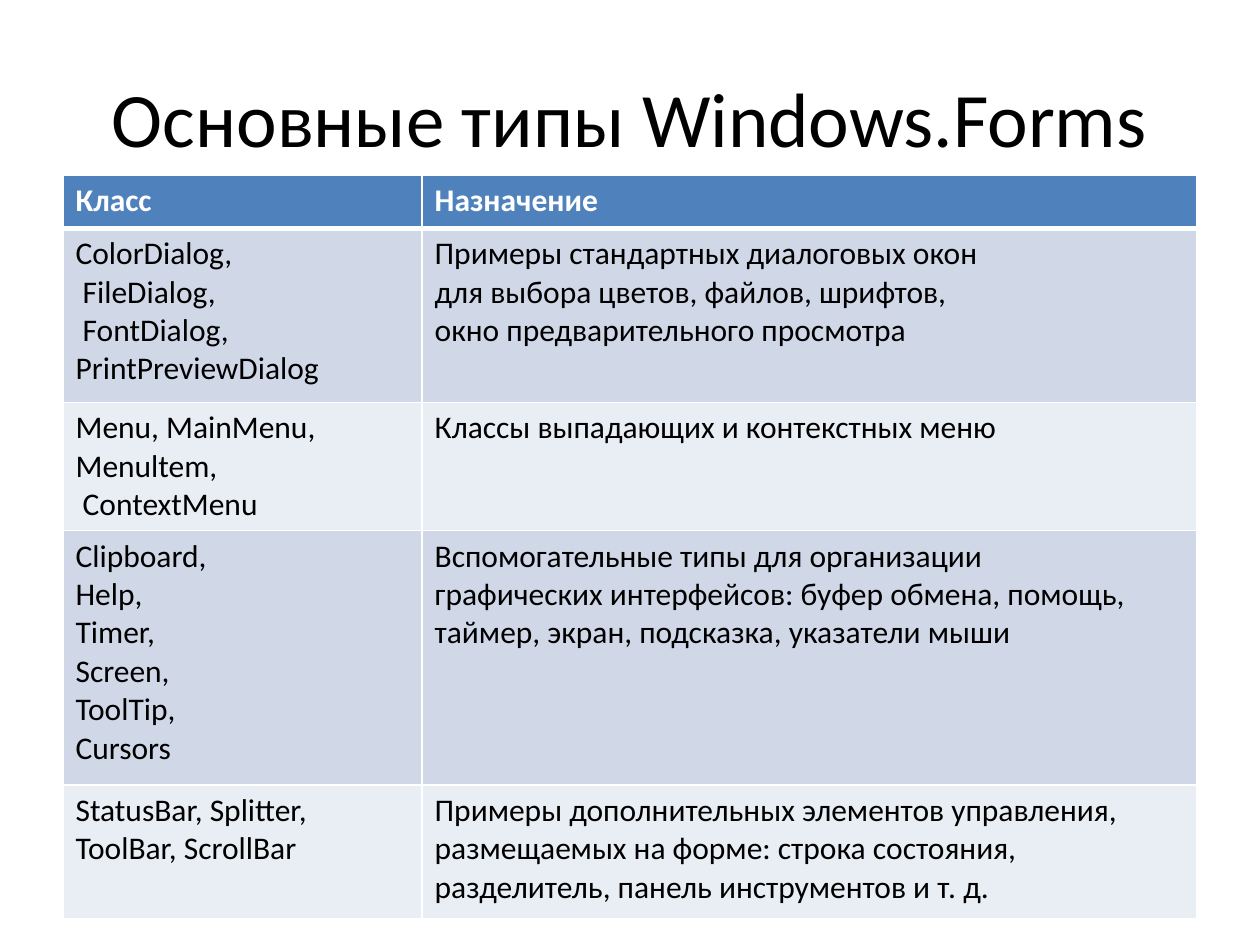
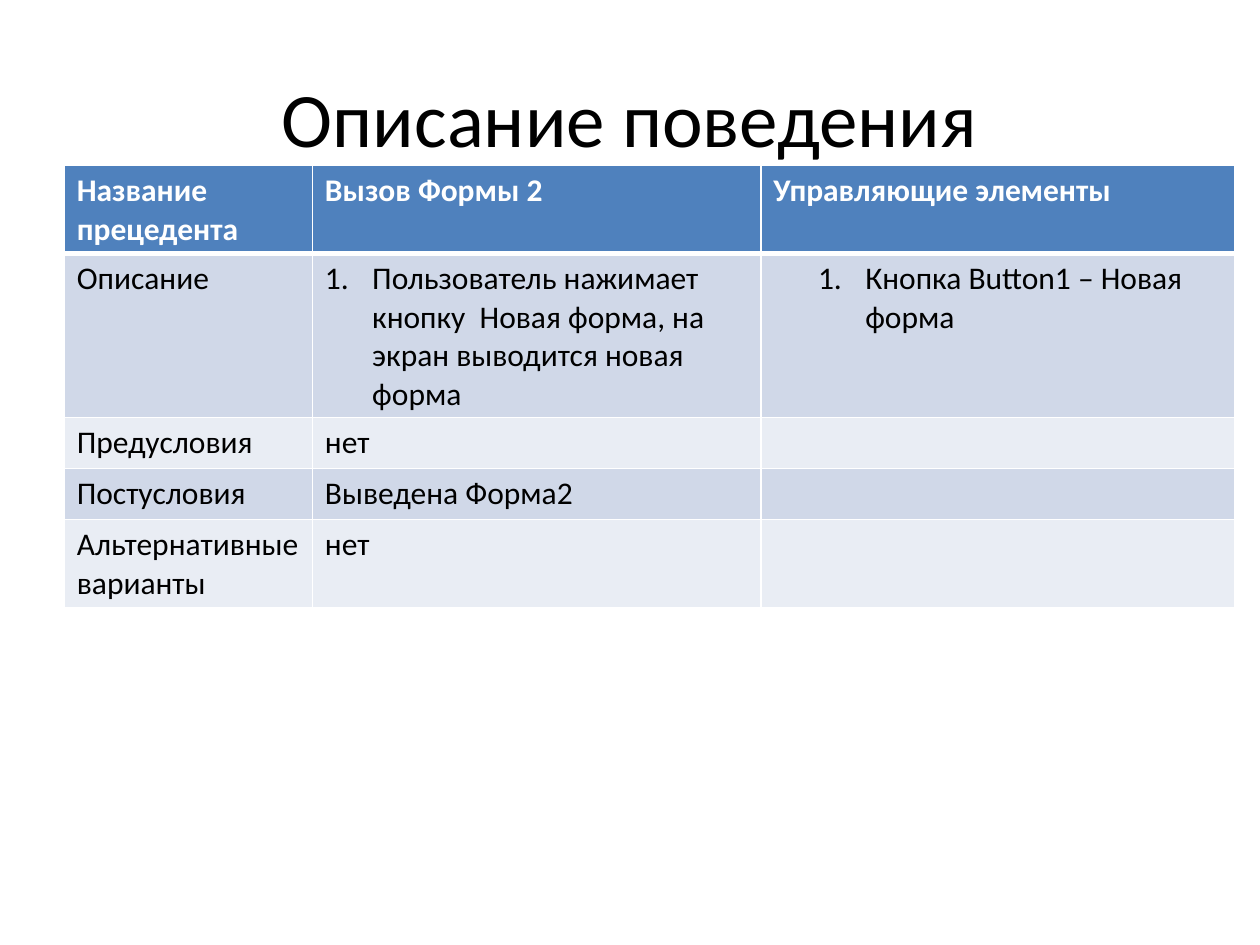
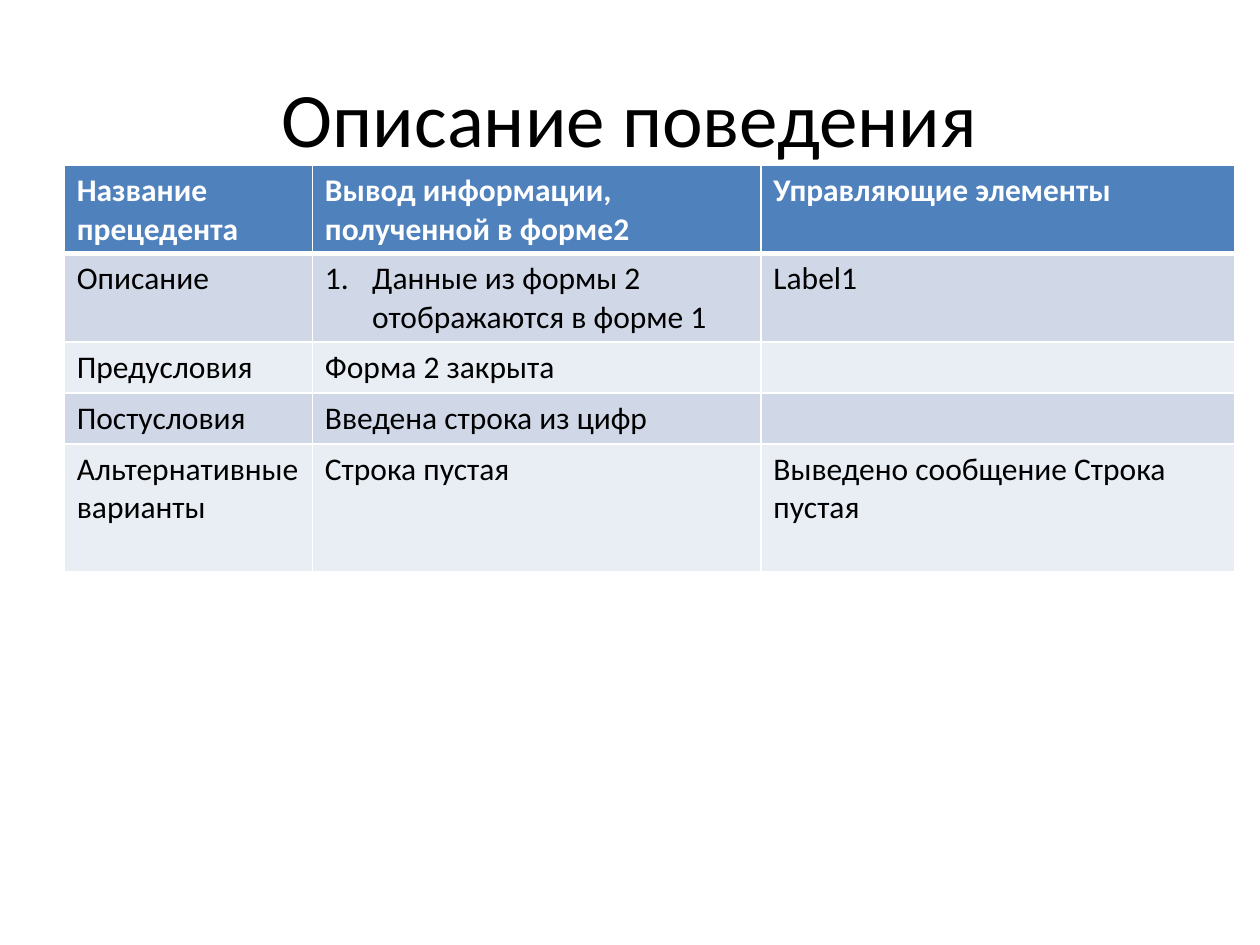
from dataclasses import dataclass

from lxml import etree
from pptx import Presentation
from pptx.dml.color import RGBColor
from pptx.enum.text import MSO_ANCHOR, PP_ALIGN
from pptx.oxml.ns import qn
from pptx.presentation import Presentation as Deck
from pptx.slide import Slide
from pptx.table import _Cell
from pptx.text.text import _Paragraph
from pptx.util import Pt

MIDDLE = MSO_ANCHOR.MIDDLE
CENTER = PP_ALIGN.CENTER

FONT = "Calibri"
BLACK = "000000"
WHITE = "FFFFFF"
HEADER_BLUE = "4F81BD"
BANDS = ("D0D8E8", "E9EDF4")
TITLE_SIZE = 44
TABLE_SIZE = 18
THIN = 1
THICK = 3
HANGING = 27
DEEP_INDENT = 52.5
LINE_ROW = 29.2


@dataclass(frozen=True)
class Entry:
    text: str = ""
    indent: float = 0
    numbered: bool = False


@dataclass(frozen=True)
class TableSlide:
    title: str
    left: float
    top: float
    height: float
    columns: tuple[float, ...]
    row_heights: tuple[float, ...]
    rows: tuple[tuple[Entry, ...], ...]


def hanging(text: str) -> Entry:
    return Entry(text, HANGING)


def step(text: str, indent: float = HANGING) -> Entry:
    return Entry(text, indent, True)


def use_case(
    name: str,
    description: tuple[Entry, Entry],
    precondition: str,
    postcondition: str,
    alternative: tuple[str, str],
    height: float,
    last_row: float = LINE_ROW,
) -> TableSlide:
    return TableSlide(
        title="Описание поведения",
        left=36.7,
        top=94.5,
        height=height,
        columns=(141.8, 256.3, 270.7),
        row_heights=(LINE_ROW,) * 4 + (last_row,),
        rows=(
            (Entry("Название прецедента"), Entry(name), Entry("Управляющие элементы")),
            (Entry("Описание"), *description),
            (Entry("Предусловия"), hanging(precondition), Entry()),
            (Entry("Постусловия"), hanging(postcondition), Entry()),
            (Entry("Альтернативные варианты"), hanging(alternative[0]), Entry(alternative[1])),
        ),
    )


FORM_TYPES = TableSlide(
    title="Основные типы Windows.Forms",
    left=36,
    top=100.1,
    height=425.5,
    columns=(205.2, 442.8),
    row_heights=(LINE_ROW + 1.2, 99.4, 73.4, 145.4, 76.3),
    rows=(
        (Entry("Класс"), Entry("Назначение")),
        (
            Entry("ColorDialog,\n FileDialog,\n FontDialog,\nPrintPreviewDialog"),
            Entry(
                "Примеры стандартных диалоговых окон\n"
                "для выбора цветов, файлов, шрифтов,\n"
                "окно предварительного просмотра"
            ),
        ),
        (
            Entry("Menu, MainMenu,\nMenultem,\n ContextMenu"),
            Entry("Классы выпадающих и контекстных меню"),
        ),
        (
            Entry("Clipboard,\nHelp,\nTimer,\nScreen,\nToolTip,\nCursors"),
            Entry(
                "Вспомогательные типы для организации\n"
                "графических интерфейсов: буфер обмена, помощь,\n"
                "таймер, экран, подсказка, указатели мыши"
            ),
        ),
        (
            Entry("StatusBar, Splitter, ToolBar, ScrollBar"),
            Entry(
                "Примеры дополнительных элементов управления,\n"
                "размещаемых на форме: строка состояния,\n"
                "разделитель, панель инструментов и т. д."
            ),
        ),
    ),
)

OPEN_FORM = use_case(
    name="Вызов Формы 2",
    description=(
        step("Пользователь нажимает кнопку  Новая форма, на экран выводится новая форма"),
        step("Кнопка Button1 – Новая форма", DEEP_INDENT),
    ),
    precondition="нет",
    postcondition="Выведена Форма2",
    alternative=("нет", ""),
    height=252.7,
)

SHOW_DATA = use_case(
    name="Вывод информации, полученной в форме2",
    description=(step("Данные из формы 2 отображаются в форме 1"), hanging("Label1")),
    precondition="Форма 2 закрыта",
    postcondition="Введена строка из цифр",
    alternative=("Строка пустая", "Выведено сообщение Строка пустая"),
    height=231.1,
    last_row=73.1,
)


def color(value: str) -> RGBColor:
    return RGBColor.from_string(value)


def style_runs(paragraph: _Paragraph, size: float, ink: str, bold: bool = False) -> None:
    for run in paragraph.runs:
        run.font.name = FONT
        run.font.size = Pt(size)
        run.font.bold = bold
        run.font.color.rgb = color(ink)


def add_title(slide: Slide, title: str) -> None:
    heading = slide.shapes.add_textbox(Pt(36), Pt(21.6), Pt(648), Pt(90))
    frame = heading.text_frame
    frame.word_wrap = True
    frame.vertical_anchor = MIDDLE
    frame.text = title
    frame.paragraphs[0].alignment = CENTER
    style_runs(frame.paragraphs[0], TITLE_SIZE, BLACK)


def set_borders(cell: _Cell, top: float, bottom: float) -> None:
    properties = cell._tc.get_or_add_tcPr()
    for edge, width in (("L", THIN), ("R", THIN), ("T", top), ("B", bottom)):
        line = etree.SubElement(properties, qn(f"a:ln{edge}"), w=str(Pt(width)))
        fill = etree.SubElement(line, qn("a:solidFill"))
        etree.SubElement(fill, qn("a:srgbClr"), val=WHITE)


def set_indent(paragraph: _Paragraph, entry: Entry) -> None:
    properties = paragraph._p.get_or_add_pPr()
    properties.set("marL", str(Pt(entry.indent)))
    properties.set("indent", str(Pt(-HANGING)))
    if entry.numbered:
        etree.SubElement(properties, qn("a:buFont"), typeface="+mj-lt")
        etree.SubElement(properties, qn("a:buAutoNum"), type="arabicPeriod")


def fill_cell(cell: _Cell, entry: Entry, row: int) -> None:
    header = row == 0
    set_borders(cell, THICK if row == 1 else THIN, THICK if header else THIN)
    cell.fill.solid()
    cell.fill.fore_color.rgb = color(HEADER_BLUE if header else BANDS[(row - 1) % 2])
    cell.text_frame.text = entry.text
    for paragraph in cell.text_frame.paragraphs:
        if entry.indent:
            set_indent(paragraph, entry)
        paragraph.font.size = Pt(TABLE_SIZE)
        style_runs(paragraph, TABLE_SIZE, WHITE if header else BLACK, header)


def add_class_table(slide: Slide, content: TableSlide) -> None:
    frame = slide.shapes.add_table(
        len(content.rows),
        len(content.columns),
        Pt(content.left),
        Pt(content.top),
        Pt(sum(content.columns)),
        Pt(content.height),
    )
    table = frame.table
    table.horz_banding = False
    for column, width in zip(table.columns, content.columns):
        column.width = Pt(width)
    for row, height in zip(table.rows, content.row_heights):
        row.height = Pt(height)
    frame.height = Pt(content.height)
    for row_index, entries in enumerate(content.rows):
        for column_index, entry in enumerate(entries):
            fill_cell(table.cell(row_index, column_index), entry, row_index)


def add_table_slide(deck: Deck, content: TableSlide) -> None:
    slide = deck.slides.add_slide(deck.slide_layouts[6])
    slide.background.fill.solid()
    slide.background.fill.fore_color.rgb = color(WHITE)
    add_title(slide, content.title)
    add_class_table(slide, content)


def main() -> None:
    deck = Presentation()
    deck.slide_width = Pt(720)
    deck.slide_height = Pt(540)
    for content in (FORM_TYPES, OPEN_FORM, SHOW_DATA):
        add_table_slide(deck, content)
    deck.save("out.pptx")


if __name__ == "__main__":
    main()
